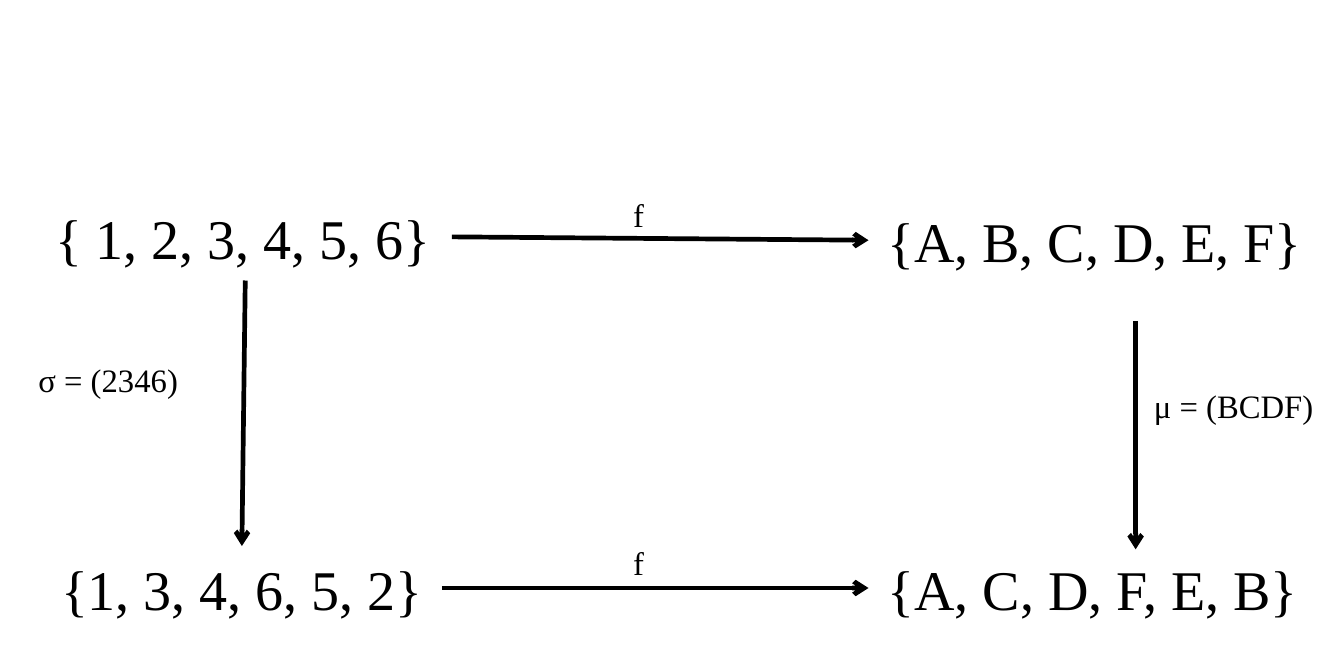
from dataclasses import dataclass

from lxml.etree import SubElement
from pptx import Presentation
from pptx.dml.color import RGBColor
from pptx.enum.shapes import MSO_CONNECTOR as Connector
from pptx.enum.text import MSO_AUTO_SIZE as AutoSize, PP_ALIGN as Align
from pptx.oxml.ns import qn
from pptx.util import Inches, Pt


@dataclass(frozen=True)
class Theme:
    ink: RGBColor = RGBColor(0, 0, 0)
    paper: RGBColor = RGBColor(255, 255, 255)
    font: str = "Times New Roman"
    set_size: int = 24
    label_size: int = 14
    line_width: int = 2


THEME = Theme()
SET_HEIGHT, LABEL_HEIGHT = 0.5, 0.34


def add_text(slide, text, box, size, align=Align.LEFT):
    shape = slide.shapes.add_textbox(*map(Inches, box))
    frame = shape.text_frame
    for name, value in {"word_wrap": False,
                        "auto_size": AutoSize.SHAPE_TO_FIT_TEXT}.items():
        setattr(frame, name, value)
    paragraph = frame.paragraphs[0]
    paragraph.alignment = align
    run = paragraph.add_run()
    run.text = text
    for name, value in {"name": THEME.font, "size": Pt(size)}.items():
        setattr(run.font, name, value)
    run.font.color.rgb = THEME.ink


def add_arrow(slide, start, end):
    arrow = slide.shapes.add_connector(
        Connector.STRAIGHT, *map(Inches, (*start, *end)))
    arrow.line.color.rgb = THEME.ink
    arrow.line.width = Pt(THEME.line_width)
    properties = arrow.line._get_or_add_ln()
    SubElement(properties, qn("a:tailEnd"), type="arrow")
    SubElement(arrow._element.spPr, qn("a:effectLst"))


def add_mapping_row(slide, box, source, target, label_rise, drop=0):
    """Source set, arrow f and target set; drop lowers the target end."""
    left, top, width, source_width, target_width, align = box
    target_left = left + width - target_width
    middle = top + SET_HEIGHT / 2
    # Sets
    add_text(slide, source, (left, top, source_width, SET_HEIGHT),
             THEME.set_size, align)
    add_text(slide, target, (target_left, top + drop, target_width, SET_HEIGHT),
             THEME.set_size, Align.CENTER)
    # Arrow and its label
    add_arrow(slide, (left + source_width, middle),
              (target_left, middle + drop))
    add_text(slide, "f", (3.67, top - label_rise, 0.27, LABEL_HEIGHT),
             THEME.label_size)


def add_permutation(slide, box, label, label_offset, label_width):
    """Downward arrow with a label placed relative to its start."""
    left, top, lean, height = box
    add_arrow(slide, (left, top), (left + lean, top + height))
    across, down = label_offset
    add_text(slide, label,
             (left + across, top + down, label_width, LABEL_HEIGHT),
             THEME.label_size)


presentation = Presentation()
presentation.slide_width, presentation.slide_height = Inches(8), Inches(4)
slide = presentation.slides.add_slide(presentation.slide_layouts[6])
slide.background.fill.solid()
slide.background.fill.fore_color.rgb = THEME.paper

# Rows: left, top, width, source width, target width, source alignment
add_mapping_row(slide, (0.23, 1.16, 7.63, 2.46, 2.69, Align.LEFT),
                "{ 1, 2, 3, 4, 5, 6}", "{A, B, C, D, E, F}", 0.05, drop=0.02)
add_mapping_row(slide, (0.25, 3.25, 7.59, 2.38, 2.67, Align.CENTER),
                "{1, 3, 4, 6, 5, 2}", "{A, C, D, F, E, B}", 0.07)

# Columns: left, top, sideways lean, height
add_permutation(slide, (1.46, 1.67, -0.02, 1.58),
                "σ = (2346)", (-1.33, 0.42), 1.04)
add_permutation(slide, (6.76, 1.91, 0, 1.36),
                "μ = (BCDF)", (0.01, 0.34), 1.16)

presentation.save("out.pptx")
